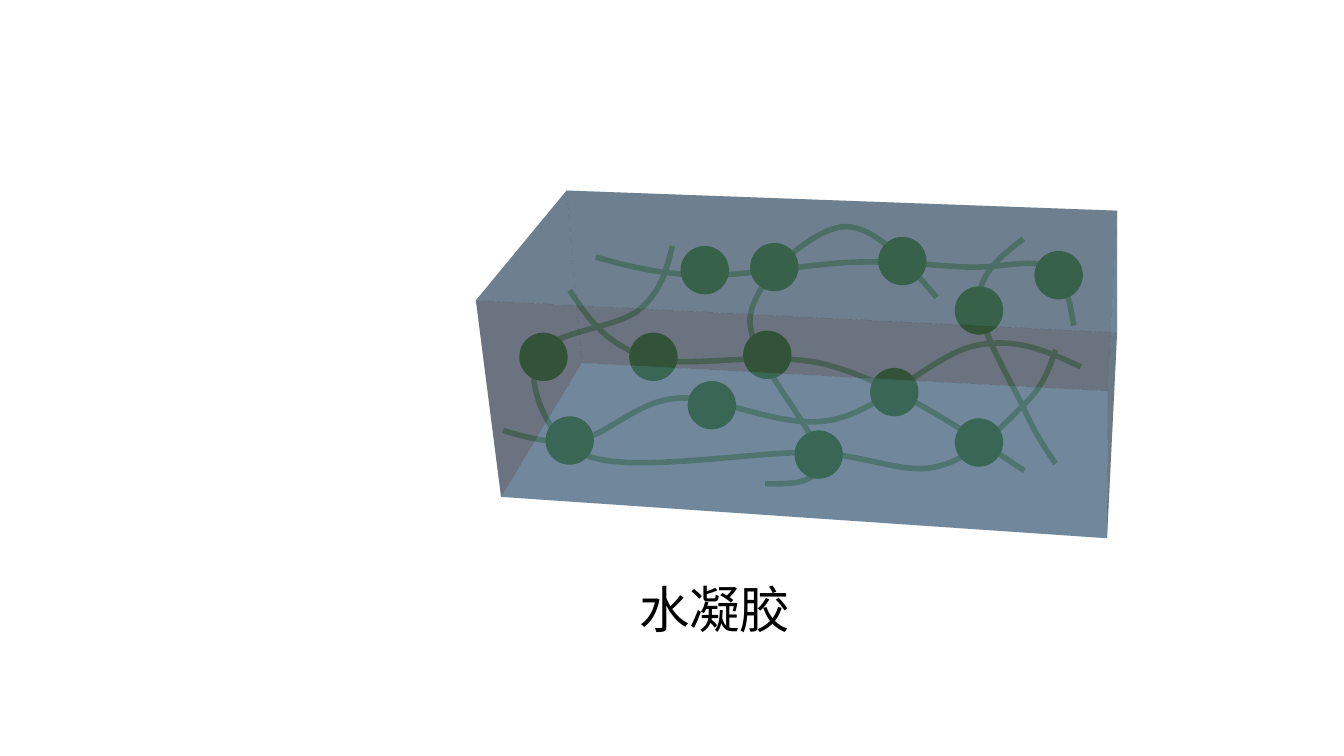
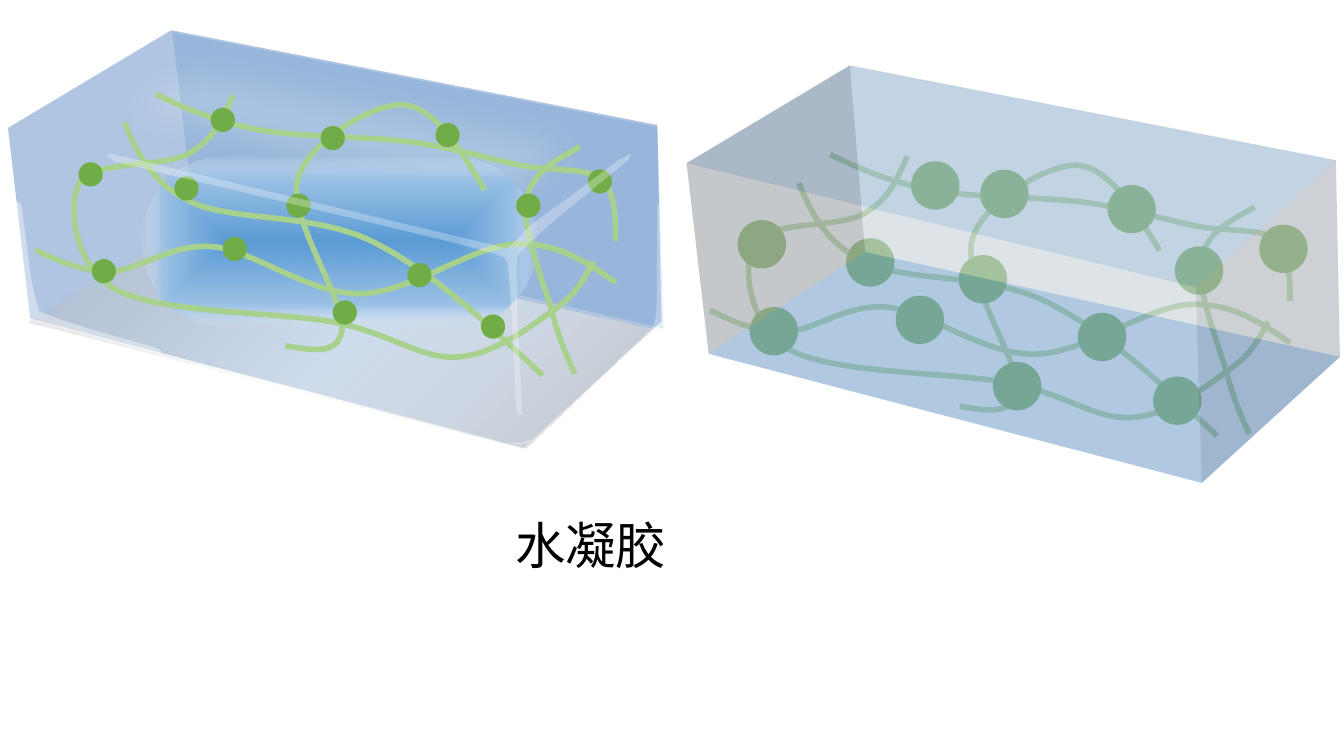
import math

from lxml import etree
from pptx import Presentation
from pptx import util as u
from pptx.dml.color import RGBColor
from pptx.enum import shapes, text
from pptx.oxml.ns import qn

BLACK = RGBColor(0x00, 0x00, 0x00)
WHITE = RGBColor(0xFF, 0xFF, 0xFF)
SILVER = RGBColor(0xBF, 0xBF, 0xBF)
GREY = RGBColor(0xA6, 0xA6, 0xA6)
STRAND = RGBColor(0xA9, 0xD1, 0x8E)
NODE = RGBColor(0x70, 0xAD, 0x47)
BLUE = RGBColor(0x5B, 0x9B, 0xD5)
SKY = RGBColor(0x9D, 0xC3, 0xE6)
PALE = RGBColor(0xE1, 0xEB, 0xFB)
GLASS = RGBColor(75, 125, 190)

CM_PER_UNIT = 2.54
TILT = 9.5
PIVOT = (6.67, 2.44)

FACES = {
    "back": (4, 5, 6, 7),
    "left": (0, 4, 7, 3),
    "bottom": (3, 2, 6, 7),
    "right": (1, 5, 6, 2),
    "top": (0, 1, 5, 4),
    "front": (0, 1, 2, 3),
}
DARK_BOX = {
    "back": RGBColor(14, 27, 46),
    "left": RGBColor(14, 27, 46),
    "bottom": RGBColor(44, 112, 169),
    "right": RGBColor(20, 50, 80),
    "top": RGBColor(25, 65, 95),
    "front": RGBColor(15, 30, 50),
}
LIGHT_BOX = {
    "back": RGBColor(229, 247, 255),
    "left": RGBColor(126, 131, 141),
    "bottom": RGBColor(36, 131, 226),
    "right": RGBColor(137, 138, 146),
    "top": RGBColor(107, 142, 181),
    "front": RGBColor(180, 185, 190),
}
GLASS_BOX = dict.fromkeys(FACES, GLASS)

FLAT_CORNERS = [(4.72, 2.98), (11.08, 3.3), (10.98, 5.34), (4.97, 4.93),
                (5.62, 1.89), (11.08, 2.09), (10.99, 3.88), (5.77, 3.6)]
TILTED_CORNERS = [(6.81, 1.62), (11.86, 2.85), (11.92, 4.79), (7.03, 3.51),
                  (8.43, 0.65), (13.25, 1.59), (13.29, 3.54), (8.58, 2.5)]
GLASS_CORNERS = [(x - 6.73, y - 0.35) for x, y in TILTED_CORNERS]

STRANDS = [
    [(6.67, 2.44), (6.61, 2.67, 6.56, 2.9, 6.33, 3.08),
     (6.11, 3.26, 5.39, 3.3, 5.31, 3.55), (5.23, 3.79, 5.4, 4.38, 5.85, 4.53),
     (6.31, 4.69, 7.47, 4.48, 8.04, 4.49), (8.61, 4.51, 8.94, 4.71, 9.29, 4.63),
     (9.65, 4.55, 9.96, 4.21, 10.16, 4.01), (10.36, 3.82, 10.41, 3.64, 10.47, 3.47)],
    [(5.91, 2.55), (6.22, 2.64, 6.54, 2.72, 6.97, 2.73),
     (7.41, 2.74, 8.07, 2.61, 8.51, 2.6), (8.95, 2.59, 9.3, 2.64, 9.61, 2.65),
     (9.93, 2.66, 10.23, 2.56, 10.4, 2.65), (10.57, 2.75, 10.61, 2.99, 10.65, 3.23)],
    [(4.99, 4.27), (5.22, 4.34, 5.46, 4.41, 5.75, 4.36),
     (6.04, 4.31, 6.31, 3.98, 6.72, 3.95), (7.13, 3.92, 7.74, 4.26, 8.23, 4.17),
     (8.72, 4.09, 9.25, 3.52, 9.67, 3.43), (10.08, 3.34, 10.4, 3.49, 10.72, 3.64)],
    [(10.15, 2.37), (9.93, 2.54, 9.71, 2.71, 9.71, 2.99),
     (9.71, 3.26, 10.02, 3.77, 10.15, 4.04), (10.27, 4.31, 10.37, 4.45, 10.47, 4.6)],
    [(5.65, 2.88), (5.83, 3.15, 6, 3.42, 6.44, 3.55),
     (6.88, 3.67, 7.66, 3.45, 8.28, 3.64), (8.9, 3.83, 9.53, 4.25, 10.16, 4.67)],
    [(9.29, 2.95), (8.97, 2.58, 8.66, 2.22, 8.35, 2.25),
     (8.04, 2.29, 7.48, 2.77, 7.44, 3.15), (7.4, 3.53, 8.1, 4.26, 8.12, 4.53),
     (8.14, 4.81, 7.87, 4.8, 7.59, 4.8)],
]
LARGE_NODES = [(6.48, 3.54), (5.65, 4.37), (5.39, 3.54), (6.99, 2.68), (7.61, 3.52),
               (7.06, 4.02), (8.12, 4.51), (7.68, 2.65), (8.87, 3.89), (9.71, 3.08),
               (8.95, 2.59), (9.71, 4.39), (10.5, 2.73)]
SMALL_NODES = [(1.85, 1.87), (1.03, 2.69), (0.9, 1.73), (2.21, 1.19), (2.96, 2.04),
               (2.33, 2.47), (3.42, 3.1), (3.3, 1.37), (4.16, 2.73), (5.24, 2.04),
               (4.44, 1.34), (4.89, 3.24), (5.95, 1.8)]

BACK_WALL = [(1.71, 0.32), (6.52, 1.26), (6.58, 3.26), (1.93, 2.18)]
FLOOR = [(1.87, 2.24), (6.46, 3.26), (5.21, 4.45), (0.27, 3.2)]
LID = [(1.78, 0.3), (6.51, 1.21), (6.55, 1.22, 6.62, 1.21, 6.54, 1.28), (5.2, 2.42),
       (0.13, 1.24), (1.67, 0.32), (1.7, 0.29, 1.74, 0.29, 1.78, 0.3)]
LEFT_GLINT = [(0.15, 2.02), (0.17, 2.02, 0.15, 1.96, 0.21, 2.03),
              (0.27, 2.38, 0.29, 2.81, 0.39, 3.09), (0.76, 3.24, 1.17, 3.34, 1.57, 3.46),
              (1.65, 3.52, 1.57, 3.49, 1.57, 3.51), (0.29, 3.17)]
CORNER_GLINT = [(5.06, 4.39), (5.06, 4.39, 5.14, 4.39, 5.17, 4.39),
                (5.21, 4.38, 5.27, 4.35, 5.27, 4.37), (5.27, 4.38, 5.19, 4.42, 5.16, 4.42),
                (5.12, 4.42, 5.06, 4.4, 5.06, 4.39)]
RIGHT_GLINT = [(6.21, 3.56), (6.04, 3.65, 6.16, 3.55, 6.14, 3.56),
               (6.26, 3.44, 6.52, 3.24, 6.49, 3.18), (6.53, 3.21, 6.51, 2.42, 6.52, 2.02),
               (6.57, 2.01, 6.56, 2.07, 6.57, 2.09), (6.57, 2.48, 6.63, 3.31, 6.57, 3.25),
               (6.64, 3.21, 6.33, 3.46, 6.21, 3.56)]
EDGE_GLINT = [(1.09, 1.52), (5.01, 2.46), (5.06, 2.47, 5.19, 2.3, 5.28, 2.22), (5.6, 1.99),
              (5.81, 1.83, 5.88, 1.78, 6.16, 1.57), (6.16, 1.59, 6.32, 1.46, 6.23, 1.59),
              (5.47, 2.21), (5.35, 2.32, 5.09, 2.55, 5.13, 2.56),
              (5.1, 2.54, 5.18, 4.17, 5.18, 4.12), (5.12, 4.12, 5.14, 4.08, 5.12, 4.06),
              (5.08, 3.49, 5.07, 2.5, 5, 2.56), (5.08, 2.52, 2.42, 1.92, 1.13, 1.6),
              (1.04, 1.53, 1.06, 1.53, 1.09, 1.52)]


def length(units):
    return u.Cm(units * CM_PER_UNIT)


def pairs(step):
    return list(zip(step[::2], step[1::2]))


def unmoved(point):
    return point


def tilted(target):
    cos, sin = math.cos(math.radians(TILT)), math.sin(math.radians(TILT))

    def move(point):
        dx, dy = point[0] - PIVOT[0], point[1] - PIVOT[1]
        return target[0] + dx * cos - dy * sin, target[1] + dx * sin + dy * cos

    return move


def child(parent, tag, **attributes):
    return etree.SubElement(parent, qn(tag), {k: str(v) for k, v in attributes.items()})


class Deck:
    font = "Calibri"
    label_size = u.Pt(36)
    strand_width = u.Pt(4)

    def __init__(self):
        self.prs = Presentation()
        self.prs.slide_width = length(13.33)
        self.prs.slide_height = length(7.5)

    def new_slide(self):
        self.slide = self.prs.slides.add_slide(self.prs.slide_layouts[6])
        self.canvas = self.slide.shapes

    def open_group(self):
        self.canvas = self.slide.shapes.add_group_shape().shapes

    def close_group(self):
        self.canvas = self.slide.shapes

    def paint(self, sp, color, alpha=100):
        sp.shadow.inherit = False
        sp.line.fill.background()
        sp.fill.solid()
        sp.fill.fore_color.rgb = color
        if alpha < 100:
            tone = sp._element.xpath("p:spPr/a:solidFill/a:srgbClr")[0]
            child(tone, "a:alpha", val=alpha * 1000)

    def blend(self, sp, stops, angle=None):
        self.paint(sp, WHITE)
        solid = sp._element.xpath("p:spPr/a:solidFill")[0]
        grad = etree.Element(qn("a:gradFill"), rotWithShape="1")
        stop_list = child(grad, "a:gsLst")
        for position, color, alpha in stops:
            stop = child(stop_list, "a:gs", pos=position * 1000)
            child(child(stop, "a:srgbClr", val=color), "a:alpha", val=alpha * 1000)
        if angle is None:
            centre = dict.fromkeys("ltrb", 50000)
            child(child(grad, "a:path", path="shape"), "a:fillToRect", **centre)
        else:
            child(grad, "a:lin", ang=angle * 60000, scaled=0)
        solid.getparent().replace(solid, grad)

    def soften(self, sp, radius):
        effects = sp._element.xpath("p:spPr/a:effectLst")[0]
        child(effects, "a:softEdge", rad=int(radius))

    def outline(self, steps, closed=True, move=unmoved):
        points = [move(point) for step in steps for point in pairs(step)]
        start, *rest = [(length(x), length(y)) for x, y in points]
        builder = self.canvas.build_freeform(*start, scale=1.0)
        builder.add_line_segments(rest, close=closed)
        sp = builder.convert_to_shape()
        lines = iter(sp._element.xpath(".//a:lnTo"))
        for step in steps[1:]:
            parts = [next(lines) for _ in pairs(step)]
            if len(parts) == 3:
                curve = etree.Element(qn("a:cubicBezTo"))
                parts[0].addprevious(curve)
                for part in parts:
                    curve.append(part[0])
                    part.getparent().remove(part)
        return sp

    def patch(self, steps, color, alpha):
        sp = self.outline(steps)
        self.paint(sp, color, alpha)
        return sp

    def strand(self, steps, move):
        sp = self.outline(steps, closed=False, move=move)
        sp.shadow.inherit = False
        sp.fill.background()
        sp.line.color.rgb = STRAND
        sp.line.width = self.strand_width

    def node(self, centre, size):
        x, y = centre
        sp = self.canvas.add_shape(shapes.MSO_SHAPE.OVAL, length(x - size / 2),
                                   length(y - size / 2), length(size), length(size))
        self.paint(sp, NODE)

    def network(self, nodes, size, move=unmoved):
        for steps in STRANDS:
            self.strand(steps, move)
        for centre in nodes:
            self.node(centre, size)

    def box(self, corners, tones, alpha):
        for face, indexes in FACES.items():
            self.patch([corners[i] for i in indexes], tones[face], alpha)

    def core(self, left, top, width, height):
        sp = self.canvas.add_shape(shapes.MSO_SHAPE.ROUNDED_RECTANGLE, length(left),
                                   length(top), length(width), length(height))
        sp.adjustments[0] = 0.5
        self.blend(sp, [(0, BLUE, 100), (74, SKY, 100), (100, PALE, 0)])

    def label(self, words, left, top):
        sp = self.canvas.add_textbox(length(left), length(top), length(5.23), length(0.71))
        tf = sp.text_frame
        tf.word_wrap = True
        tf.auto_size = text.MSO_AUTO_SIZE.SHAPE_TO_FIT_TEXT
        r = tf.paragraphs[0].add_run()
        r.text = words
        r.font.name = self.font
        r.font.size = self.label_size
        r.font.color.rgb = BLACK


def main():
    deck = Deck()

    deck.new_slide()
    deck.network(LARGE_NODES, 0.48)
    deck.box(FLAT_CORNERS, DARK_BOX, 38)
    deck.label("水凝胶", 6.24, 5.69)

    deck.new_slide()
    deck.open_group()
    move = tilted((9, 1.55))
    deck.network([move(centre) for centre in LARGE_NODES], 0.48, move)
    deck.box(TILTED_CORNERS, LIGHT_BOX, 37)

    deck.open_group()
    deck.patch(BACK_WALL, SKY, 42)
    deck.box(GLASS_CORNERS, GLASS_BOX, 25)
    floor = deck.outline(FLOOR)
    deck.blend(floor, [(0, GREY, 32), (51, WHITE, 39), (100, SILVER, 80)], angle=45)
    lid = deck.patch(LID, WHITE, 19)
    deck.soften(lid, u.Pt(25))
    deck.core(1.4, 1.54, 3.93, 1.71)
    for glint, alpha in ((LEFT_GLINT, 40), (CORNER_GLINT, 29), (RIGHT_GLINT, 29)):
        deck.patch(glint, WHITE, alpha)

    deck.open_group()
    deck.network(SMALL_NODES, 0.24, tilted((2.31, 0.95)))
    deck.close_group()
    deck.patch(EDGE_GLINT, WHITE, 29)
    deck.label("水凝胶", 5.01, 5.05)

    deck.prs.save("out.pptx")


if __name__ == "__main__":
    main()
